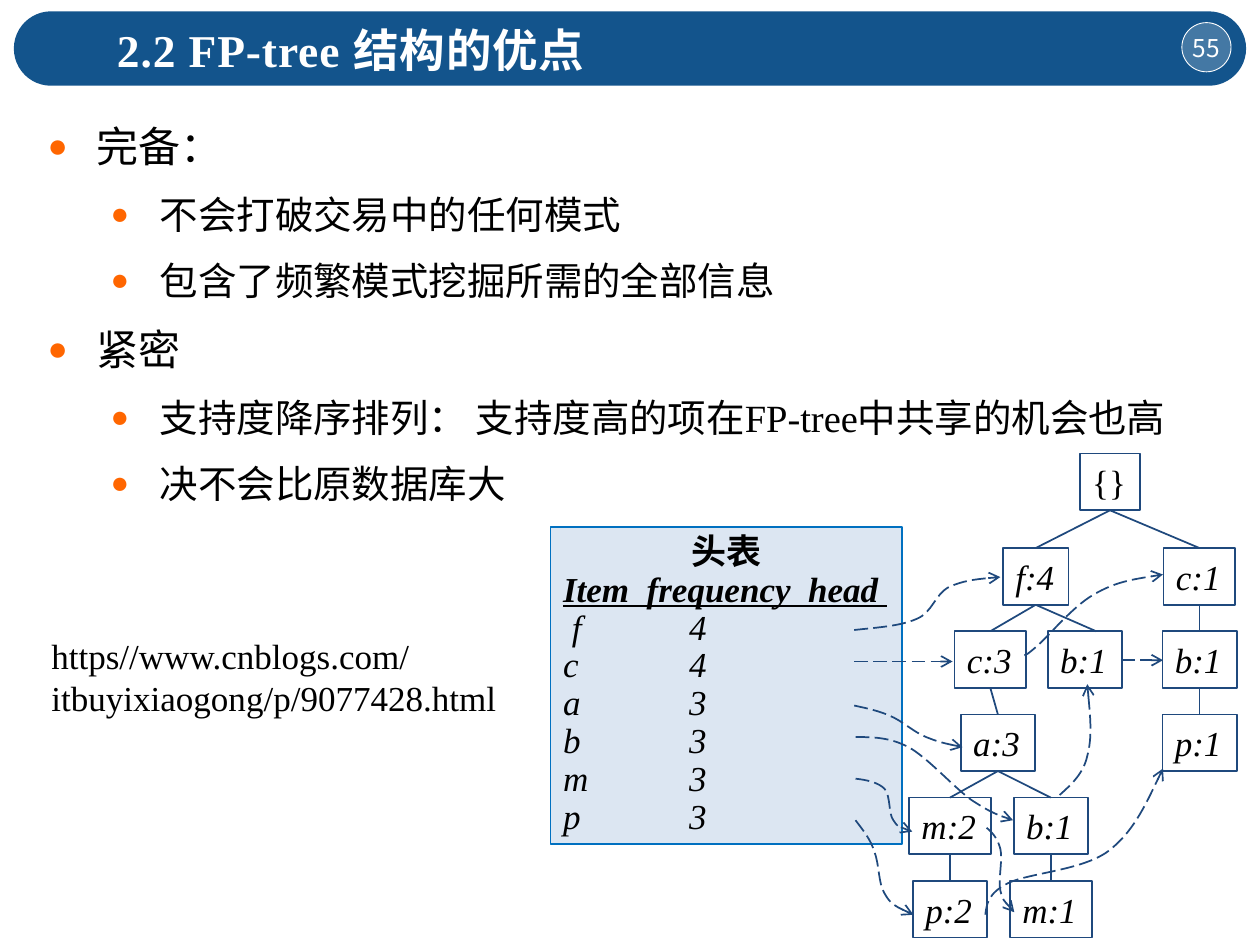
import pptx
import pptx.util
import pptx.dml.color
import pptx.enum.dml
import pptx.enum.shapes
import pptx.enum.text
import pptx.oxml
import pptx.oxml.ns
from lxml import etree

Inches, Pt, qn = pptx.util.Inches, pptx.util.Pt, pptx.oxml.ns.qn
SHAPE = pptx.enum.shapes.MSO_SHAPE
ALIGN = pptx.enum.text.PP_ALIGN
ANCHOR = pptx.enum.text.MSO_ANCHOR

COLORS = {"banner": "13548C", "white": "FFFFFF", "black": "000000", "bullet": "FF6600",
          "tree": "1F497D", "header_fill": "DCE6F2", "header_line": "0070C0"}
SERIF, SANS = "Times New Roman", "Noto Sans CJK SC"

# Content
TITLE, PAGE = "2.2 FP-tree 结构的优点", "55"
POINTS = [
    (0, "完备："),
    (1, "不会打破交易中的任何模式"),
    (1, "包含了频繁模式挖掘所需的全部信息"),
    (0, "紧密"),
    (1, "支持度降序排列： 支持度高的项在FP-tree中共享的机会也高"),
    (1, "决不会比原数据库大"),
]
LINK = ["https//www.cnblogs.com/", "itbuyixiaogong/p/9077428.html"]
HEADER_TITLE, HEADER_COLUMNS = "头表", "Item  frequency  head "
HEADER_ROWS = [(" f", 4), ("c", 4), ("a", 3), ("b", 3), ("m", 3), ("p", 3)]

# Tree: key -> label, centre x, row, width
NODES = {
    "root": ("{}", 8.81, 0, 0.48),
    "f": ("f:4", 8.22, 1, 0.52),
    "c right": ("c:1", 9.52, 1, 0.57),
    "c": ("c:3", 7.86, 2, 0.57),
    "b middle": ("b:1", 8.61, 2, 0.59),
    "b right": ("b:1", 9.52, 2, 0.59),
    "a": ("a:3", 7.92, 3, 0.59),
    "p right": ("p:1", 9.52, 3, 0.59),
    "m": ("m:2", 7.54, 4, 0.65),
    "b low": ("b:1", 8.34, 4, 0.59),
    "p": ("p:2", 7.54, 5, 0.59),
    "m low": ("m:1", 8.34, 5, 0.65),
}
EDGES = [("root", "f"), ("root", "c right"), ("c right", "b right"), ("b right", "p right"),
         ("f", "c"), ("f", "b middle"), ("c", "a"), ("a", "m"), ("a", "b low"),
         ("m", "p"), ("b low", "m low")]
EDGE_SHIFT = {"b middle": 0.09}  # this edge lands right of the box centre
ROOT_TOP, FIRST_ROW, ROW_STEP, NODE_HEIGHT = 3.6, 4.35, 0.66, 0.45

# Node links: a start point, then three Bezier points per segment
STRAIGHT_LINKS = [((6.78, 5.25), (7.56, 5.25)), ((8.9, 5.24), (9.23, 5.24))]
CURVED_LINKS = [
    [(6.78, 5), (6.96, 4.98), (7.15, 4.97), (7.28, 4.91),
     (7.4, 4.86), (7.42, 4.72), (7.53, 4.66), (7.64, 4.61), (7.79, 4.59), (7.94, 4.58)],
    [(8.13, 5.2), (8.14, 5.2), (8.15, 5.2), (8.24, 5.12),
     (8.33, 5.04), (8.52, 4.81), (8.68, 4.72), (8.85, 4.62), (9.04, 4.59), (9.23, 4.56)],
    [(6.78, 5.6), (6.87, 5.62), (6.97, 5.64), (7.06, 5.68),
     (7.16, 5.72), (7.25, 5.81), (7.35, 5.85), (7.45, 5.89), (7.54, 5.91), (7.64, 5.93)],
    [(6.79, 5.85), (6.92, 5.85), (7.06, 5.85), (7.21, 5.93),
     (7.36, 6.01), (7.57, 6.25), (7.71, 6.35), (7.85, 6.44), (7.94, 6.48), (8.04, 6.51)],
    [(8.41, 6.31), (8.5, 6.23), (8.6, 6.14), (8.63, 6), (8.67, 5.85), (8.65, 5.64), (8.63, 5.43)],
    [(6.79, 6.18), (6.88, 6.19), (6.97, 6.21), (7.02, 6.26),
     (7.07, 6.32), (7.05, 6.46), (7.09, 6.51), (7.13, 6.57), (7.18, 6.58), (7.24, 6.6)],
    [(7.83, 6.57), (7.88, 6.61), (7.92, 6.66), (7.94, 6.74),
     (7.96, 6.82), (7.92, 6.99), (7.94, 7.07), (7.96, 7.15), (8.01, 7.2), (8.05, 7.24)],
    [(6.79, 6.51), (6.85, 6.59), (6.91, 6.66), (6.94, 6.76),
     (6.98, 6.86), (6.97, 7.01), (7.02, 7.09), (7.07, 7.18), (7.16, 7.22), (7.25, 7.26)],
    [(7.82, 7.26), (7.83, 7.18), (7.84, 7.09), (8, 7.01),
     (8.16, 6.93), (8.58, 6.91), (8.79, 6.76), (8.99, 6.61), (9.11, 6.35), (9.23, 6.1)],
]

presentation = pptx.Presentation()
presentation.slide_width, presentation.slide_height = Inches(10), Inches(7.5)
slide = presentation.slides.add_slide(presentation.slide_layouts[6])


def rgb(name):
    return pptx.dml.color.RGBColor.from_string(COLORS[name])


def add_text(frame, text, size=20, font=SERIF, color="black", bold=False, italic=False,
             underline=False, align=ALIGN.LEFT, spacing=None, before=0, level=0,
             bullet_indent=None, tab=None, tracking=None):
    """Write one paragraph, reusing the empty first one of the frame."""
    first = not frame.paragraphs[0].runs
    paragraph = frame.paragraphs[0] if first else frame.add_paragraph()
    paragraph.alignment, paragraph.level = align, level
    if spacing:
        paragraph.line_spacing = spacing
    if before and not first:
        paragraph.space_before = Pt(before)
    props = paragraph._p.get_or_add_pPr()
    if bullet_indent:
        props.set("marL", str(Inches(bullet_indent)))
        props.set("indent", str(Inches(-0.39)))
        color_el = etree.SubElement(props, qn("a:buClr"))
        etree.SubElement(color_el, qn("a:srgbClr"), val=COLORS["bullet"])
        etree.SubElement(props, qn("a:buSzPct"), val="80000")
        etree.SubElement(props, qn("a:buFont"), typeface=SERIF)
        etree.SubElement(props, qn("a:buChar"), char="●")
    if tab:
        tabs = etree.SubElement(props, qn("a:tabLst"))
        etree.SubElement(tabs, qn("a:tab"), pos=str(Inches(tab)), algn="l")
    run = paragraph.add_run()
    run.text = text
    run.font.size, run.font.name, run.font.color.rgb = Pt(size), font, rgb(color)
    run.font.bold, run.font.italic, run.font.underline = bold, italic, underline
    run_props = run._r.get_or_add_rPr()
    etree.SubElement(run_props, qn("a:ea"), typeface=SANS)
    if tracking:
        run_props.set("spc", str(int(tracking * 100)))


def add_box(kind, left, top, width, height, fill=None, line=None, weight=1):
    box = slide.shapes.add_shape(kind, *map(Inches, (left, top, width, height)))
    box.shadow.inherit = False
    if fill:
        box.fill.solid()
        box.fill.fore_color.rgb = rgb(fill)
    else:
        box.fill.background()
    if line:
        box.line.color.rgb, box.line.width = rgb(line), Pt(weight)
    else:
        box.line.fill.background()
    box.text_frame.word_wrap = False
    return box


def add_text_box(left, top, width, height):
    frame = slide.shapes.add_textbox(*map(Inches, (left, top, width, height))).text_frame
    frame.word_wrap = True
    return frame


def style_link(link):
    link.line.color.rgb, link.line.width = rgb("tree"), Pt(1)
    link.line.dash_style = pptx.enum.dml.MSO_LINE.LONG_DASH
    etree.SubElement(link.line._get_or_add_ln(), qn("a:tailEnd"), type="arrow")


def add_line(start, end):
    line = slide.shapes.add_connector(pptx.enum.shapes.MSO_CONNECTOR.STRAIGHT,
                                      *map(Inches, (*start, *end)))
    line.line.color.rgb, line.line.width = rgb("tree"), Pt(1)
    etree.SubElement(line._element.spPr, qn("a:effectLst"))
    return line


def add_curve(points):
    start, *rest = [(Inches(x), Inches(y)) for x, y in points]
    builder = slide.shapes.build_freeform(*start)
    builder.add_line_segments(rest, close=False)
    curve = builder.convert_to_shape()
    curve.shadow.inherit = False
    curve.fill.background()
    # Each run of three straight steps becomes one cubic segment
    steps = list(curve._element.iter(qn("a:lnTo")))
    for i in range(0, len(steps), 3):
        cubic = etree.Element(qn("a:cubicBezTo"))
        steps[i].addprevious(cubic)
        for step in steps[i:i + 3]:
            cubic.append(step[0])
            step.getparent().remove(step)
    style_link(curve)


def node_top(row):
    return FIRST_ROW + (row - 1) * ROW_STEP if row else ROOT_TOP


# Banner and page number
banner = add_box(SHAPE.ROUNDED_RECTANGLE, 0.11, 0.09, 9.78, 0.59, fill="banner")
banner.adjustments[0] = 0.5
badge = add_box(SHAPE.OVAL, 9.38, 0.18, 0.39, 0.39, fill="white", line="white", weight=0.5)
etree.SubElement(next(badge._element.spPr.iter(qn("a:srgbClr"))), qn("a:alpha"), val="21000")
number = badge.text_frame
number.margin_left = number.margin_right = number.margin_top = number.margin_bottom = 0
add_text(number, PAGE, size=14, font=SANS, color="white", align=ALIGN.CENTER)

# Title, points and link
title = add_text_box(0.83, 0.12, 7.42, 0.54)
title.vertical_anchor = ANCHOR.MIDDLE
add_text(title, TITLE, size=26, color="white", bold=True, tracking=0.5)
body = add_text_box(0.28, 0.83, 9.27, 3.23)
for level, point in POINTS:
    add_text(body, point, size=24 - 2 * level, level=level, spacing=1.2, before=6,
             bullet_indent=0.39 + 0.5 * level)
link_box = add_text_box(0.31, 4.99, 3.93, 0.77)
for part in LINK:
    add_text(link_box, part)

# Tree
for label, center, row, width in NODES.values():
    node = add_box(SHAPE.RECTANGLE, center - width / 2, node_top(row), width, NODE_HEIGHT,
                   line="tree")
    add_text(node.text_frame, label, italic=row > 0)
for parent, child in EDGES:
    _, parent_x, parent_row, _ = NODES[parent]
    _, child_x, child_row, _ = NODES[child]
    add_line((parent_x, node_top(parent_row) + NODE_HEIGHT),
             (child_x + EDGE_SHIFT.get(child, 0), node_top(child_row)))

# Header table
header = add_box(SHAPE.RECTANGLE, 4.37, 4.18, 2.79, 2.52, fill="header_fill",
                 line="header_line").text_frame
add_text(header, HEADER_TITLE, font=SANS, bold=True, align=ALIGN.CENTER, spacing=0.9)
add_text(header, HEADER_COLUMNS, bold=True, italic=True, underline=True, spacing=0.9)
for item, frequency in HEADER_ROWS:
    add_text(header, f"{item}\t{frequency}", italic=True, spacing=0.9, tab=1)

# Node links
for start, end in STRAIGHT_LINKS:
    style_link(add_line(start, end))
for points in CURVED_LINKS:
    add_curve(points)

presentation.save("out.pptx")
